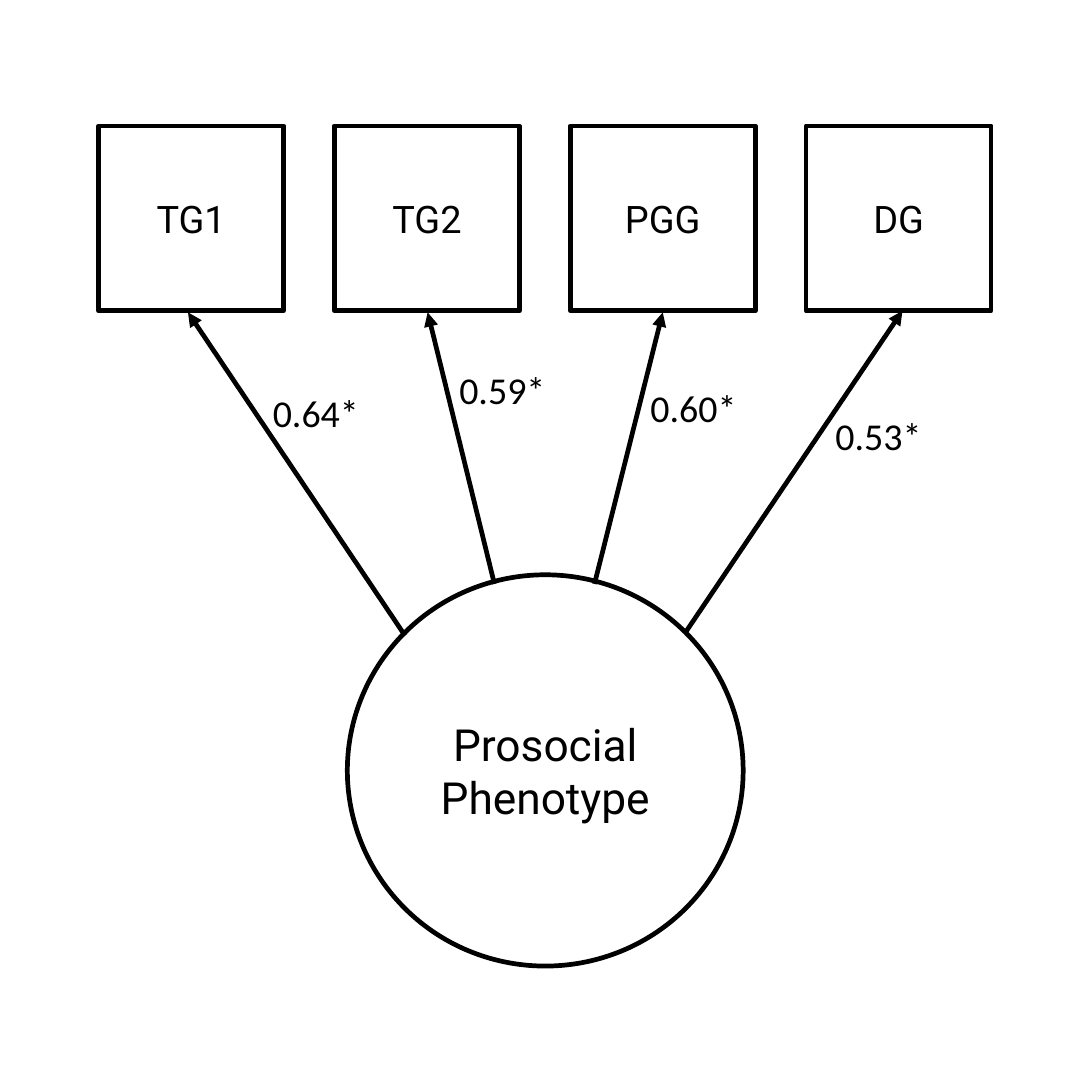
from lxml.etree import SubElement
from pptx import Presentation
from pptx.dml.color import RGBColor
from pptx.enum.shapes import MSO_CONNECTOR, MSO_SHAPE
from pptx.enum.text import MSO_ANCHOR, MSO_AUTO_SIZE, PP_ALIGN
from pptx.oxml.ns import qn
from pptx.util import Inches, Pt

COLORS = {"ink": "000000", "paper": "FFFFFF"}
INK = RGBColor.from_string(COLORS["ink"])
PAPER = RGBColor.from_string(COLORS["paper"])
LINE_WIDTH = Pt(2.25)

# Grid of the four game boxes, in inches
BOX_LEFT, BOX_TOP, BOX_SIZE, BOX_STEP = 0.65, 0.83, 1.22, 1.555

# Game, loading, label corner, arrow start on the circle, arrow tip
games = [
    ("TG1", "0.64*", (1.70, 2.52), (2.67, 4.19), (1.24, 2.06)),
    ("TG2", "0.59*", (2.93, 2.37), (3.26, 3.85), (2.82, 2.06)),
    ("PGG", "0.60*", (4.19, 2.49), (3.92, 3.85), (4.37, 2.06)),
    ("DG", "0.53*", (5.41, 2.67), (4.52, 4.17), (5.95, 2.05)),
]

prs = Presentation()
prs.slide_width = prs.slide_height = Inches(7.2)
slide = prs.slides.add_slide(prs.slide_layouts[6])
shapes = slide.shapes


def add_text(frame, text, size, font):
    run = frame.paragraphs[0].add_run()
    run.text = text
    run.font.size, run.font.name = Pt(size), font
    run.font.color.rgb = INK


def add_variable(kind, left, top, width, height, text, size):
    variable = shapes.add_shape(kind, *map(Inches, (left, top, width, height)))
    variable.shadow.inherit = False
    variable.fill.solid()
    variable.fill.fore_color.rgb = PAPER
    variable.line.color.rgb = INK
    variable.line.width = LINE_WIDTH
    frame = variable.text_frame
    frame.word_wrap = True
    frame.vertical_anchor = MSO_ANCHOR.MIDDLE
    frame.paragraphs[0].alignment = PP_ALIGN.CENTER
    add_text(frame, text, size, "Roboto")


# Latent factor
add_variable(MSO_SHAPE.OVAL, 2.29, 3.79, 2.61, 2.58, "Prosocial Phenotype", 21)

# Observed games, each with its arrow and loading
for column, (game, loading, corner, start, tip) in enumerate(games):
    add_variable(MSO_SHAPE.RECTANGLE, BOX_LEFT + column * BOX_STEP, BOX_TOP,
                 BOX_SIZE, BOX_SIZE, game, 18)

    arrow = shapes.add_connector(MSO_CONNECTOR.STRAIGHT,
                                 *map(Inches, start + tip))
    arrow.line.color.rgb = INK
    arrow.line.width = LINE_WIDTH
    SubElement(arrow.line._get_or_add_ln(), qn("a:tailEnd"), type="triangle")
    SubElement(arrow._element.spPr, qn("a:effectLst"))

    label = shapes.add_textbox(*map(Inches, corner + (0.78, 0.4))).text_frame
    label.word_wrap = False
    label.auto_size = MSO_AUTO_SIZE.SHAPE_TO_FIT_TEXT
    add_text(label, loading, 18, "Calibri")

prs.save("out.pptx")
